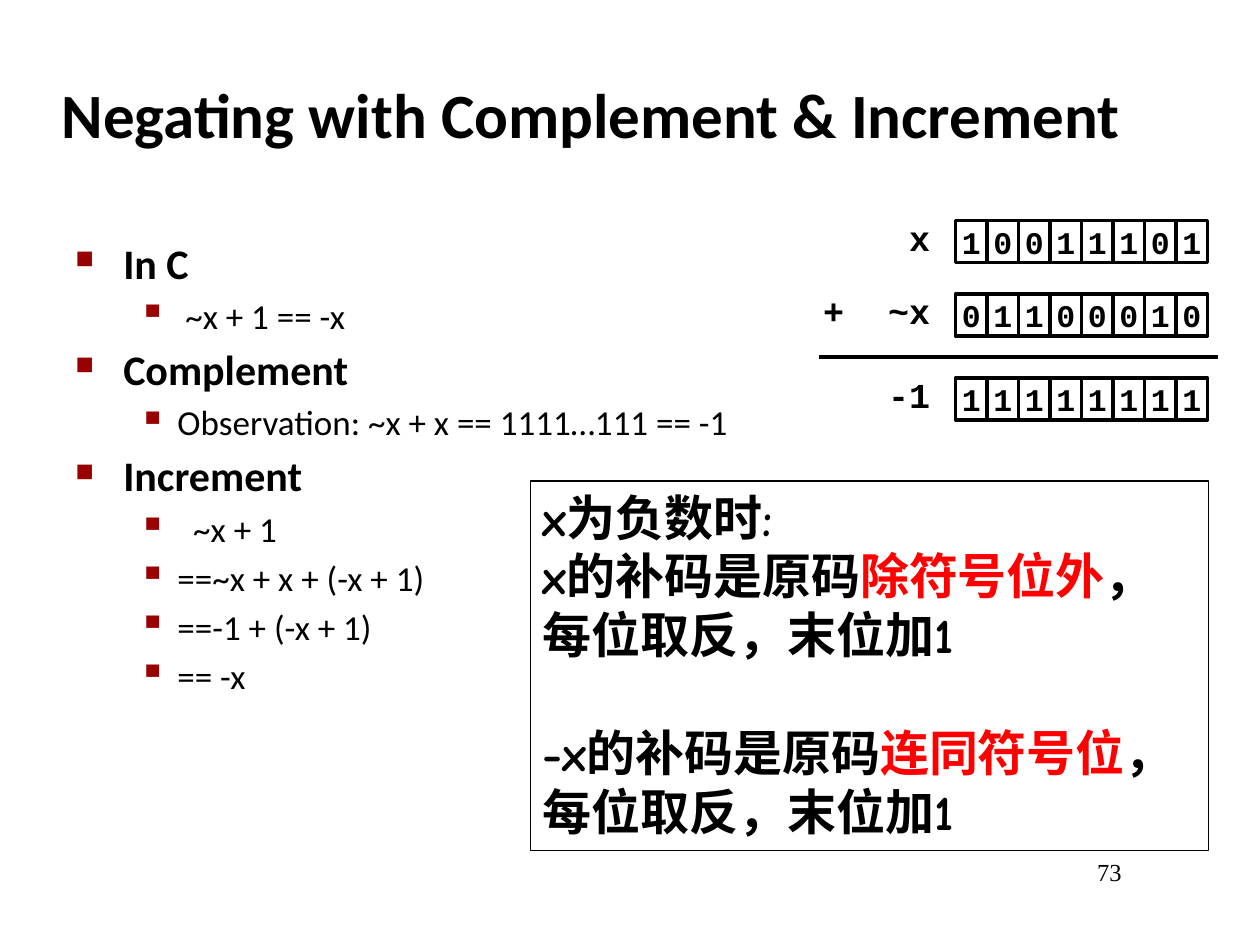
from lxml.etree import SubElement
from pptx import Presentation
from pptx.dml.color import RGBColor
from pptx.enum.shapes import MSO_CONNECTOR as CONN, MSO_SHAPE as SHAPE
from pptx.enum.text import MSO_ANCHOR as ANCHOR, PP_ALIGN as ALIGN
from pptx.oxml.ns import qn
from pptx.util import Inches, Pt

COLS, ROWS = 120, 90  # grid over the 10 x 7.5 inch slide
BLACK, WHITE, RED, MAROON = "000000", "FFFFFF", "FF0000", "990000"
TITLE = dict(name="Calibri", size=Pt(36), bold=True)
HEAD = dict(name="Calibri", size=Pt(24), bold=True)
ITEM = dict(name="Calibri", size=Pt(20), bold=False)
BIT = dict(name="Courier New", size=Pt(18), bold=True)
LABEL = dict(name="Courier New", size=Pt(20), bold=True)
NOTE = dict(name="Comic Neue", size=Pt(28), bold=True)
PAGE = dict(name="Times New Roman", size=Pt(14), bold=False)

# Bullet per level: symbol, size in percent, text indent, hanging indent
BULLETS = [("■", 60, 0.38, 0.38), ("▪", 110, 0.81, 0.31)]
OUTLINE = [
    (0, "In C"),
    (1, " ~x + 1 == -x"),
    (0, "Complement"),
    (1, "Observation: ~x + x == 1111…111 == -1"),
    (0, "Increment"),
    (1, "  ~x + 1"),
    (1, "==~x + x + (-x + 1)"),
    (1, "==-1 + (-x + 1)"),
    (1, "== -x"),
]
# Sum rows: row offset, sign, label, bits
SUM = [(0, "", " x", "10011101"),
       (7, "+", "~x", "01100010"),
       (15, "", "-1", "11111111")]
NOTES = [
    [("x为负数时:", BLACK)],
    [("x的补码是原码", BLACK), ("除符号位外", RED), ("，", BLACK)],
    [("每位取反，末位加1", BLACK)],
    [("-x的补码是原码", BLACK), ("连同符号位", RED), ("，每位取反，末位加1", BLACK)],
]


def rgb(value):
    return RGBColor.from_string(value)


def grid(*units):
    return [Inches(u / 12) for u in units]


def add_run(p, text, font, color=BLACK):
    r = p.add_run()
    r.text = text
    for key, value in font.items():
        setattr(r.font, key, value)
    r.font.color.rgb = rgb(color)


def add_text(slide, box, text, font, align=ALIGN.LEFT, wrap=True):
    tf = slide.shapes.add_textbox(*grid(*box)).text_frame
    tf.word_wrap = wrap
    p = tf.paragraphs[0]
    p.alignment = align
    add_run(p, text, font)
    return tf


def add_rect(slide, box, width, fill=None):
    sp = slide.shapes.add_shape(SHAPE.RECTANGLE, *grid(*box))
    sp.shadow.inherit = False
    if fill:
        sp.fill.solid()
        sp.fill.fore_color.rgb = rgb(fill)
    else:
        sp.fill.background()
    sp.line.color.rgb = rgb(BLACK)
    sp.line.width = Pt(width)
    return sp.text_frame


def paragraphs(tf, count):
    return [tf.paragraphs[0]] + [tf.add_paragraph() for _ in range(count - 1)]


def set_bullet(p, level):
    symbol, percent, left, hang = BULLETS[level]
    p.level = level
    pPr = p._p.get_or_add_pPr()
    pPr.set("marL", str(Inches(left)))
    pPr.set("indent", str(-Inches(hang)))
    color = SubElement(pPr, qn("a:buClr"))
    SubElement(color, qn("a:srgbClr"), val=MAROON)
    SubElement(pPr, qn("a:buSzPct"), val=str(percent * 1000))
    SubElement(pPr, qn("a:buChar"), char=symbol)


def add_outline(slide, box):
    tf = slide.shapes.add_textbox(*grid(*box)).text_frame
    tf.word_wrap = True
    for p, (level, text) in zip(paragraphs(tf, len(OUTLINE)), OUTLINE):
        p.space_before = Pt(4)
        set_bullet(p, level)
        add_run(p, text, (HEAD, ITEM)[level])


def add_bits(slide, x, y, bits):
    for i, bit in enumerate(bits):
        tf = add_rect(slide, (x + 3 * i, y, 3, 4), 2, WHITE)
        tf.word_wrap = False
        tf.vertical_anchor = ANCHOR.MIDDLE
        p = tf.paragraphs[0]
        p.alignment = ALIGN.CENTER
        add_run(p, bit, BIT)


def add_sum(slide, x, y):
    for row, sign, label, bits in SUM:
        add_bits(slide, x + 14, y + row + 1, bits)
        add_text(slide, (x + 6, y + row, 7.2, 6), label, LABEL, ALIGN.CENTER, False)
        if sign:
            add_text(slide, (x, y + row, 4.8, 6), sign, LABEL, ALIGN.CENTER, False)
    # Rule above the result
    line = slide.shapes.add_connector(
        CONN.STRAIGHT, *grid(x + 1, y + 14, x + 39, y + 14))
    line.line.color.rgb = rgb(BLACK)
    line.line.width = Pt(2)
    SubElement(line._element.spPr, qn("a:effectLst"))


def add_note(slide, box):
    tf = add_rect(slide, box, 0.75)
    tf.word_wrap = True
    tf.vertical_anchor = ANCHOR.TOP
    lines = paragraphs(tf, len(NOTES))
    for p, runs in zip(lines, NOTES):
        p.alignment = ALIGN.LEFT
        for text, color in runs:
            add_run(p, text, NOTE, color)
    lines[-1].space_before = Pt(33.5)  # one line apart


def main():
    prs = Presentation()
    prs.slide_width, prs.slide_height = grid(COLS, ROWS)
    slide = prs.slides.add_slide(prs.slide_layouts[6])
    add_text(slide, (91, 81, 17, 6), "73", PAGE, ALIGN.RIGHT)
    title = add_text(slide, (4.7, 5.8, 111.4, 10), "Negating with Complement & Increment", TITLE)
    title.vertical_anchor = ANCHOR.MIDDLE
    add_outline(slide, (6, 22, 105, 66))
    add_sum(slide, 77, 20)
    add_note(slide, (50.5, 45.8, 64.6, 35.2))
    prs.save("out.pptx")


if __name__ == "__main__":
    main()
